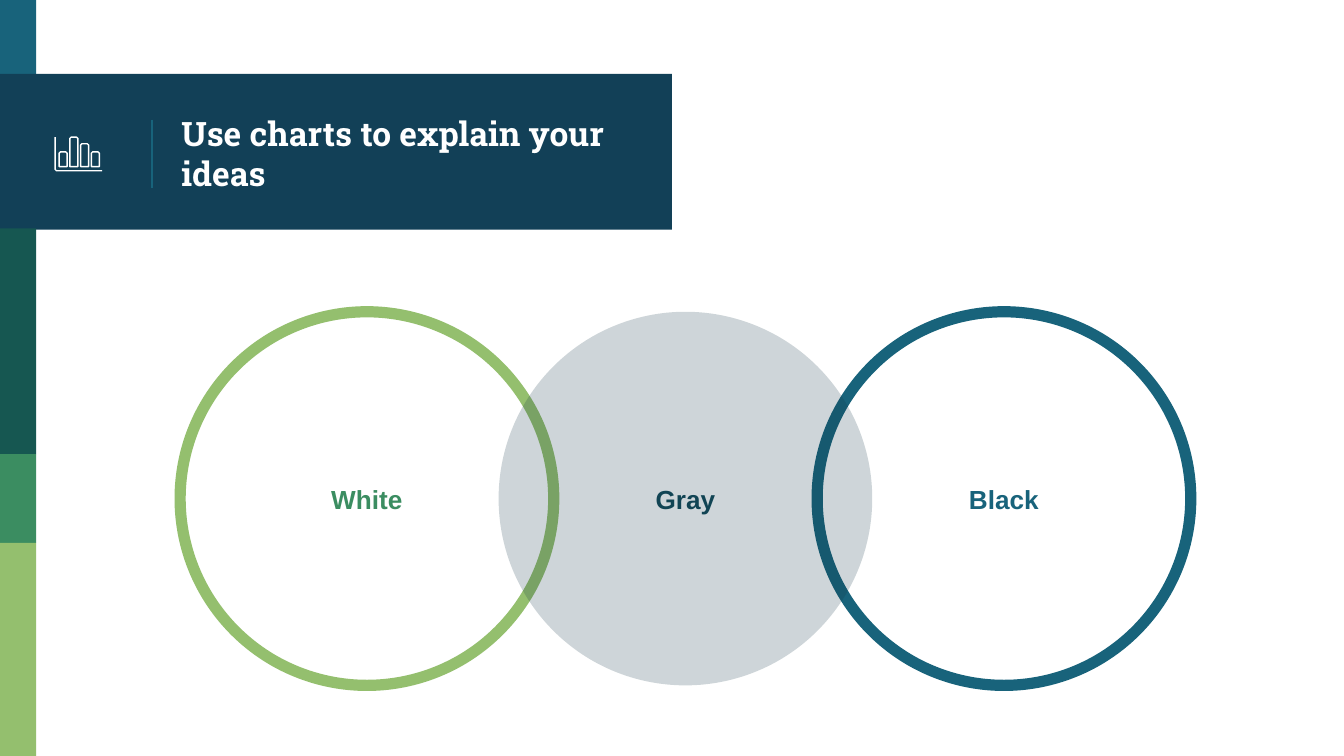
from dataclasses import dataclass
from lxml.etree import SubElement
from pptx import Presentation
from pptx.dml.color import RGBColor
from pptx.enum.shapes import MSO_CONNECTOR, MSO_SHAPE
from pptx.enum.text import MSO_ANCHOR, MSO_AUTO_SIZE, PP_ALIGN
from pptx.oxml.ns import qn
from pptx.util import Inches, Pt


@dataclass(frozen=True)
class Theme:
    blue: str = "18637B"
    navy: str = "124057"
    pine: str = "165751"
    green: str = "3B8D61"
    lime: str = "94BF6E"
    ink: str = "0E3142"
    teal: str = "114454"
    white: str = "FFFFFF"
    heading_font: str = "Roboto Slab"
    body_font: str = "Arial"
    heading_size: int = 18
    label_size: int = 14
    thin: float = 0.75
    ring: float = 6


def write_text(shape, text, *, color, size, font, align):
    frame = shape.text_frame
    frame.word_wrap = True
    frame.auto_size = MSO_AUTO_SIZE.NONE
    frame.vertical_anchor = MSO_ANCHOR.MIDDLE
    frame.margin_left = frame.margin_right = Inches(0.1)
    frame.margin_top = frame.margin_bottom = Inches(0.1)
    paragraph = frame.paragraphs[0]
    paragraph.alignment = align
    paragraph.line_spacing = 1
    run = paragraph.add_run()
    run.text = text
    run.font.name = font
    run.font.size = Pt(size)
    run.font.bold = True
    run.font.color.rgb = RGBColor.from_string(color)


def paint(shape, fill=None, line=None, width=0, alpha=None):
    shape.shadow.inherit = False
    if fill:
        shape.fill.solid()
        shape.fill.fore_color.rgb = RGBColor.from_string(fill)
    else:
        shape.fill.background()
    if alpha:
        color = shape.fill._xPr.find(qn("a:solidFill"))[0]
        SubElement(color, qn("a:alpha"), val=str(alpha * 1000))
    if line:
        shape.line.color.rgb = RGBColor.from_string(line)
        shape.line.width = Pt(width)
    else:
        shape.line.fill.background()


theme = Theme()
presentation = Presentation()
presentation.slide_width = Inches(10)
presentation.slide_height = Inches(5.625)
slide = presentation.slides.add_slide(presentation.slide_layouts[5])
shapes = slide.shapes

for top, width, height, color in (
    (0, 0.27, 0.58, theme.blue),
    (0.55, 5, 1.16, theme.navy),
    (1.7, 0.27, 1.68, theme.pine),
    (3.38, 0.27, 0.66, theme.green),
    (4.04, 0.27, 1.585, theme.lime),
):
    band = shapes.add_shape(
        MSO_SHAPE.RECTANGLE, 0, Inches(top), Inches(width), Inches(height)
    )
    paint(band, fill=color)

divider = shapes.add_connector(
    MSO_CONNECTOR.STRAIGHT, Inches(1.13), Inches(0.89), Inches(1.13), Inches(1.4)
)
divider.line.color.rgb = RGBColor.from_string(theme.blue)
divider.line.width = Pt(theme.thin)
SubElement(divider._element.spPr, qn("a:effectLst"))

title = shapes.title
title.left, title.top = Inches(1.25), Inches(0.58)
title.width, title.height = Inches(3.51), Inches(1.12)
write_text(
    title, "Use charts to explain your ideas", color=theme.white,
    size=theme.heading_size, font=theme.heading_font, align=PP_ALIGN.LEFT,
)
shapes._spTree.append(title._element)

chart_icon = shapes.add_group_shape()
outlines = [([(0.41, 1.02), (0.41, 1.26), (0.42, 1.27), (0.76, 1.27)], False)]
bar_width, bar_base, corner = 0.06, 1.24, 0.01
for index, top in enumerate((1.13, 1.02, 1.07, 1.13)):
    left = 0.44 + 0.08 * index
    right = left + bar_width
    outlines.append(([
        (right, bar_base), (right, top + corner), (right - corner, top),
        (left + corner, top), (left, top + corner), (left, bar_base),
    ], True))
for points, closed in outlines:
    points = [(Inches(x), Inches(y)) for x, y in points]
    builder = chart_icon.shapes.build_freeform(*points[0])
    builder.add_line_segments(points[1:], close=closed)
    paint(builder.convert_to_shape(), line=theme.white, width=theme.thin)

diameter = 2.78
for label, left, color, style in (
    ("White", 1.34, theme.green, dict(line=theme.lime, width=theme.ring)),
    ("Black", 6.08, theme.blue, dict(line=theme.blue, width=theme.ring)),
    ("Gray", 3.71, theme.teal, dict(fill=theme.ink, alpha=20)),
):
    circle = shapes.add_shape(
        MSO_SHAPE.OVAL, Inches(left), Inches(2.32), Inches(diameter), Inches(diameter)
    )
    paint(circle, **style)
    write_text(
        circle, label, color=color, size=theme.label_size,
        font=theme.body_font, align=PP_ALIGN.CENTER,
    )

presentation.save("out.pptx")
